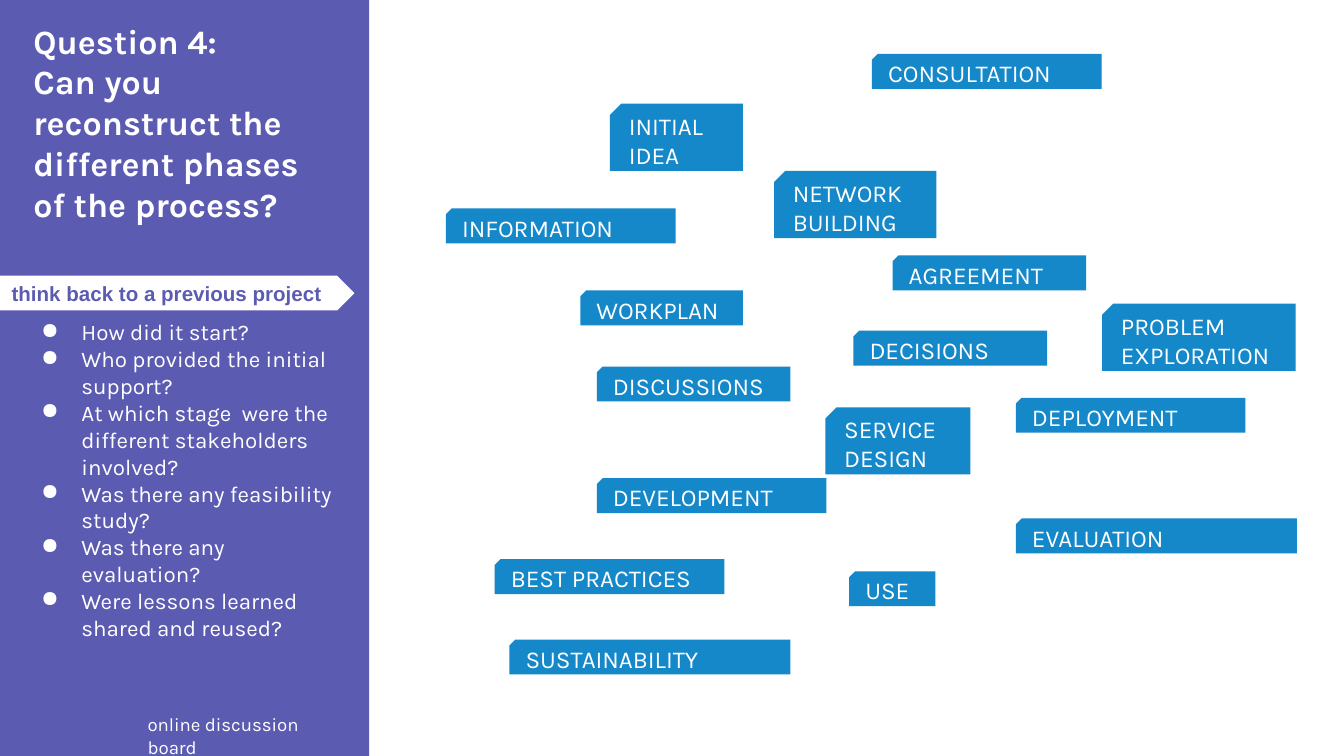
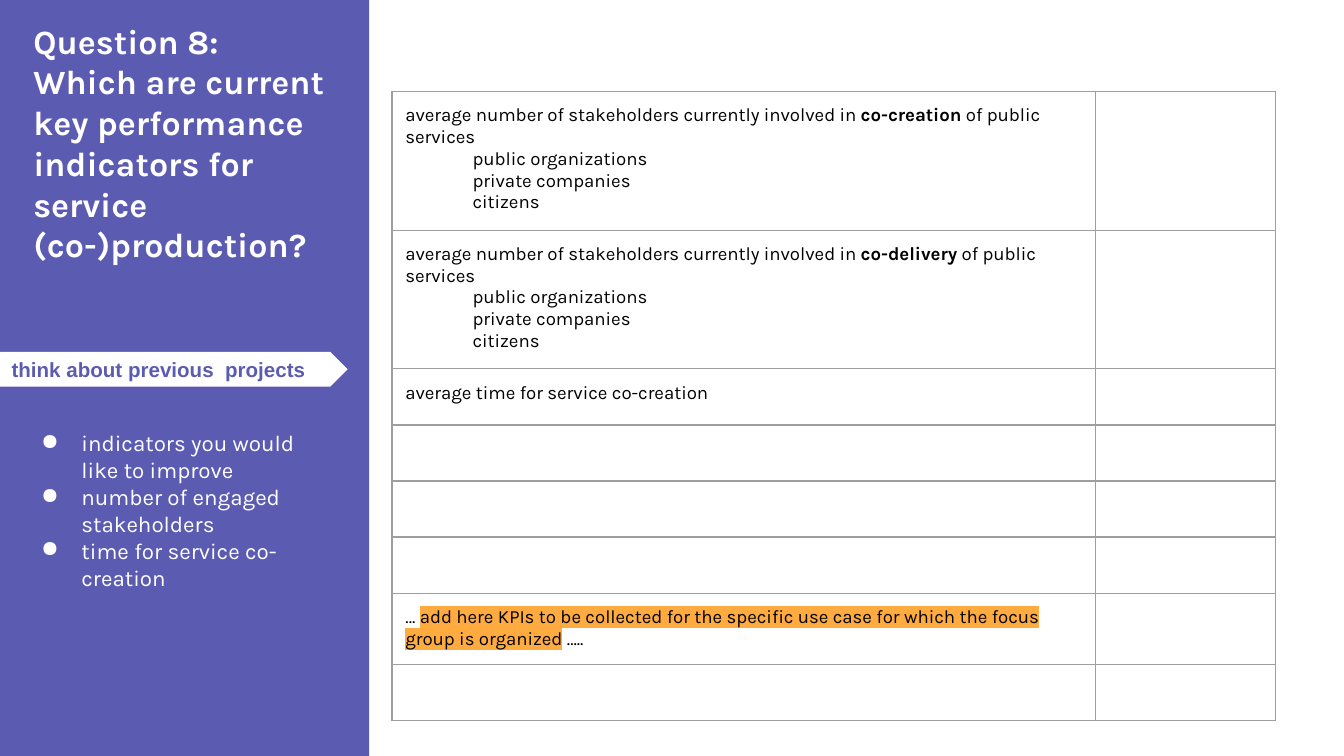
from dataclasses import dataclass

from lxml.etree import SubElement
from pptx import Presentation
from pptx.dml.color import RGBColor
from pptx.enum.shapes import MSO_SHAPE as Preset
from pptx.enum.text import MSO_ANCHOR as Anchor, MSO_AUTO_SIZE as AutoSize, PP_ALIGN as Align
from pptx.oxml.ns import qn
from pptx.shapes.autoshape import Shape
from pptx.slide import Slide
from pptx.table import _Cell as Cell
from pptx.text.text import TextFrame, _Paragraph as Paragraph
from pptx.util import Cm, Pt

COLOURS = {
    "panel": "5C5BB2",
    "tag": "1588CA",
    "white": "FFFFFF",
    "ink": "000000",
    "grid": "9E9E9E",
    "marker": "FFAB40",
}
INSET = Cm(0.25)
SINGLE, DOUBLE = 0.66, 1.27
TITLE_ONLY = 5


@dataclass(frozen=True)
class Box:
    left: float
    top: float
    width: float
    height: float

    def lengths(self) -> tuple[Cm, Cm, Cm, Cm]:
        return Cm(self.left), Cm(self.top), Cm(self.width), Cm(self.height)


@dataclass(frozen=True)
class Style:
    size: float
    colour: str = "white"
    face: str = "Karla"
    bold: bool = False


@dataclass(frozen=True)
class Span:
    text: str
    bold: bool = False
    marked: bool = False


@dataclass(frozen=True)
class Tag:
    label: str
    left: float
    top: float
    width: float
    height: float = SINGLE


@dataclass(frozen=True)
class Sidebar:
    heading: tuple[str, str]
    heading_height: float
    prompt: str
    prompt_top: float
    prompt_width: float
    hints: tuple[str, ...]
    hints_top: float
    hints_height: float


HEADING = Style(18.2, bold=True)
HINT = Style(12)
PROMPT = Style(11, "panel", "Arial", True)
TAG = Style(13)
FOOTNOTE = Style(10)
INDICATOR = Style(10, "ink")

PHASES = Sidebar(
    ("Question 4:", "Can you reconstruct the different phases of the process?"), 5,
    "think back to a previous project", 5.21, 6.73,
    (
        "How did it start?",
        "Who provided the initial support?",
        "At which stage  were the different stakeholders involved?",
        "Was there any feasibility study?",
        "Was there any evaluation?",
        "Were lessons learned shared and reused?",
    ), 5.77, 6.15,
)
KPIS = Sidebar(
    ("Question 8:",
     "Which are current key performance indicators for service (co-)production?"), 5.18,
    "think about previous  projects", 6.65, 6.6,
    (
        "indicators you would like to improve",
        "number of engaged stakeholders",
        "time for service co-creation",
    ), 7.87, 3.58,
)
TAGS = (
    Tag("INITIAL IDEA", 11.53, 1.96, 2.51, DOUBLE),
    Tag("WORKPLAN", 10.97, 5.49, 3.07),
    Tag("NETWORK BUILDING", 14.63, 3.23, 3.07, DOUBLE),
    Tag("AGREEMENT", 16.87, 4.83, 3.66),
    Tag("DISCUSSIONS", 11.28, 6.93, 3.66),
    Tag("DECISIONS", 16.13, 6.25, 3.66),
    Tag("CONSULTATION", 16.48, 1.02, 4.34),
    Tag("INFORMATION", 8.43, 3.94, 4.34),
    Tag("DEVELOPMENT", 11.28, 9.04, 4.34),
    Tag("DEPLOYMENT", 19.2, 7.52, 4.34),
    Tag("USE", 16.05, 10.8, 1.63),
    Tag("EVALUATION", 19.2, 9.8, 5.31),
    Tag("BEST PRACTICES", 9.35, 10.57, 4.34),
    Tag("PROBLEM EXPLORATION", 20.83, 5.74, 3.66, DOUBLE),
    Tag("SERVICE DESIGN", 15.6, 7.7, 2.74, DOUBLE),
    Tag("SUSTAINABILITY", 9.63, 12.09, 5.31),
)
GROUPS = ("public organizations", "private companies", "citizens")


def stakeholder_rows(activity: str) -> list[list[Span]]:
    lead = [
        Span("average number of stakeholders currently involved in "),
        Span(activity, bold=True),
        Span(" of public services"),
    ]
    return [lead, *([Span(group)] for group in GROUPS)]


INDICATORS = (
    stakeholder_rows("co-creation"),
    stakeholder_rows("co-delivery"),
    [[Span("average time for service co-creation")]],
    [], [], [],
    [[
        Span("… "),
        Span("add here KPIs to be collected for the specific use case "
             "for which the focus group is organized", marked=True),
        Span(" ….."),
    ]],
    [],
)


def rgb(name: str) -> RGBColor:
    return RGBColor.from_string(COLOURS[name])


def add_span(paragraph: Paragraph, span: Span, style: Style) -> None:
    run = paragraph.add_run()
    run.text = span.text
    font = run.font
    font.size, font.name = Pt(style.size), style.face
    font.bold = style.bold or span.bold
    font.color.rgb = rgb(style.colour)
    if span.marked:
        properties = run.font._element
        highlight = SubElement(properties, qn("a:highlight"))
        SubElement(highlight, qn("a:srgbClr"), val=COLOURS["marker"])
        properties.find(qn("a:latin")).addprevious(highlight)


def write(frame: TextFrame, lines: list[list[Span]], style: Style,
          anchor: Anchor = Anchor.TOP) -> None:
    frame.word_wrap = True
    frame.vertical_anchor = anchor
    frame.margin_left = frame.margin_right = INSET
    frame.margin_top = frame.margin_bottom = INSET
    for index, spans in enumerate(lines):
        paragraph = frame.add_paragraph() if index else frame.paragraphs[0]
        paragraph.alignment = Align.LEFT
        for span in spans:
            add_span(paragraph, span, style)


def plain(*texts: str) -> list[list[Span]]:
    return [[Span(text)] for text in texts]


def add_block(slide: Slide, preset: Preset, box: Box, colour: str) -> Shape:
    block = slide.shapes.add_shape(preset, *box.lengths())
    block.shadow.inherit = False
    block.fill.solid()
    block.fill.fore_color.rgb = rgb(colour)
    block.line.fill.background()
    return block


def add_text(slide: Slide, box: Box, texts: tuple[str, ...], style: Style) -> TextFrame:
    frame = slide.shapes.add_textbox(*box.lengths()).text_frame
    write(frame, plain(*texts), style)
    frame.auto_size = AutoSize.SHAPE_TO_FIT_TEXT
    return frame


def add_bullet(paragraph: Paragraph) -> None:
    properties = paragraph._p.get_or_add_pPr()
    properties.set("marL", str(Cm(0.76)))
    properties.set("indent", str(Cm(-0.84)))
    colour = SubElement(properties, qn("a:buClr"))
    SubElement(colour, qn("a:srgbClr"), val=COLOURS["white"])
    SubElement(properties, qn("a:buChar"), char="●")


def add_sidebar(slide: Slide, sidebar: Sidebar) -> None:
    heading = slide.shapes.title
    panel = add_block(slide, Preset.RECTANGLE, Box(-0.03, -0.08, 7.01, 14.38), "panel")
    heading.element.addprevious(panel.element)
    heading.left, heading.top, heading.width, heading.height = Box(
        0.38, 0.13, 6.2, sidebar.heading_height).lengths()
    write(heading.text_frame, plain(*sidebar.heading), HEADING)
    heading.text_frame.auto_size = AutoSize.SHAPE_TO_FIT_TEXT

    hints = add_text(slide, Box(0.53, sidebar.hints_top, 6.05, sidebar.hints_height),
                     sidebar.hints, HINT)
    for paragraph in hints.paragraphs:
        add_bullet(paragraph)

    prompt = add_block(slide, Preset.PENTAGON,
                       Box(-0.03, sidebar.prompt_top, sidebar.prompt_width, SINGLE), "white")
    prompt.adjustments[0] = 0.5
    write(prompt.text_frame, plain(sidebar.prompt), PROMPT, Anchor.MIDDLE)


def add_tag(slide: Slide, tag: Tag) -> None:
    block = add_block(slide, Preset.SNIP_1_RECTANGLE,
                      Box(tag.left, tag.top, tag.width, tag.height), "tag")
    block.adjustments[0] = 0.167
    block.element.spPr.find(qn("a:xfrm")).set("flipH", "1")
    write(block.text_frame, plain(tag.label), TAG, Anchor.MIDDLE)


def format_cell(cell: Cell) -> None:
    cell.margin_left = cell.margin_right = INSET
    cell.margin_top = cell.margin_bottom = INSET
    properties = cell._tc.get_or_add_tcPr()
    for side in ("lnL", "lnR", "lnT", "lnB"):
        border = SubElement(properties, qn(f"a:{side}"), w=str(Pt(0.75)))
        fill = SubElement(border, qn("a:solidFill"))
        SubElement(fill, qn("a:srgbClr"), val=COLOURS["grid"])
    cell.fill.background()


def fill_cell(cell: Cell, lines: list[list[Span]]) -> None:
    format_cell(cell)
    if not lines:
        SubElement(cell.text_frame.paragraphs[0]._p, qn("a:endParaRPr"),
                   sz=str(INDICATOR.size * 100))
        return
    for index, spans in enumerate(lines):
        paragraph = cell.text_frame.add_paragraph() if index else cell.text_frame.paragraphs[0]
        if index:
            paragraph._p.get_or_add_pPr().set("marL", str(Cm(1.27)))
        for span in spans:
            add_span(paragraph, span, INDICATOR)


def add_indicators(slide: Slide) -> None:
    widths, row_height = (13.3, 3.39), 1.06
    box = Box(7.41, 1.73, sum(widths), row_height * len(INDICATORS))
    table = slide.shapes.add_table(len(INDICATORS), len(widths), *box.lengths()).table
    table.first_row = table.horz_banding = False
    for column, width in zip(table.columns, widths):
        column.width = Cm(width)
    for row, lines in zip(table.rows, INDICATORS):
        row.height = Cm(row_height)
        indicator, value = row.cells
        fill_cell(indicator, lines)
        fill_cell(value, [])


def main() -> None:
    deck = Presentation()
    deck.slide_width, deck.slide_height = Cm(25.4), Cm(14.29)
    layout = deck.slide_layouts[TITLE_ONLY]

    phases = deck.slides.add_slide(layout)
    add_sidebar(phases, PHASES)
    for tag in TAGS:
        add_tag(phases, tag)
    add_text(phases, Box(2.54, 13.23, 4.34, 0.94), ("online discussion board",), FOOTNOTE)

    kpis = deck.slides.add_slide(layout)
    add_sidebar(kpis, KPIS)
    add_indicators(kpis)

    deck.save("out.pptx")


if __name__ == "__main__":
    main()
